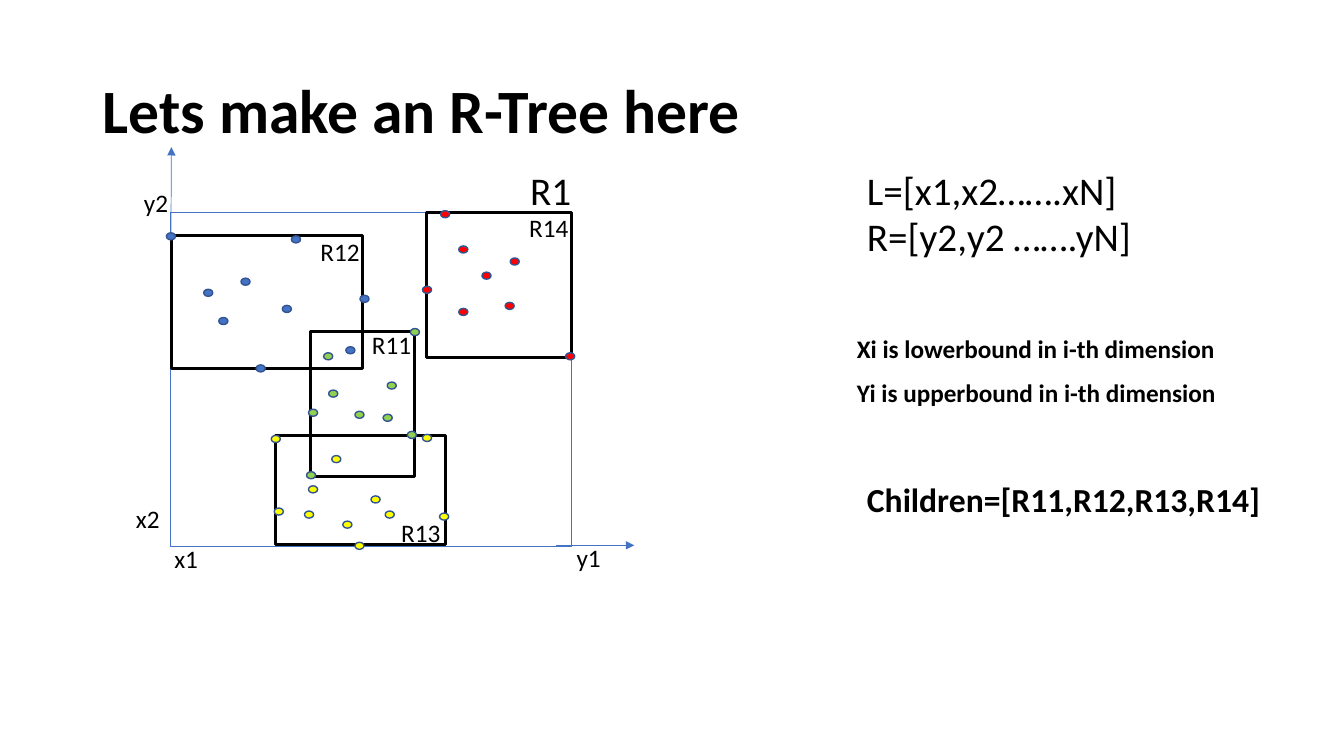
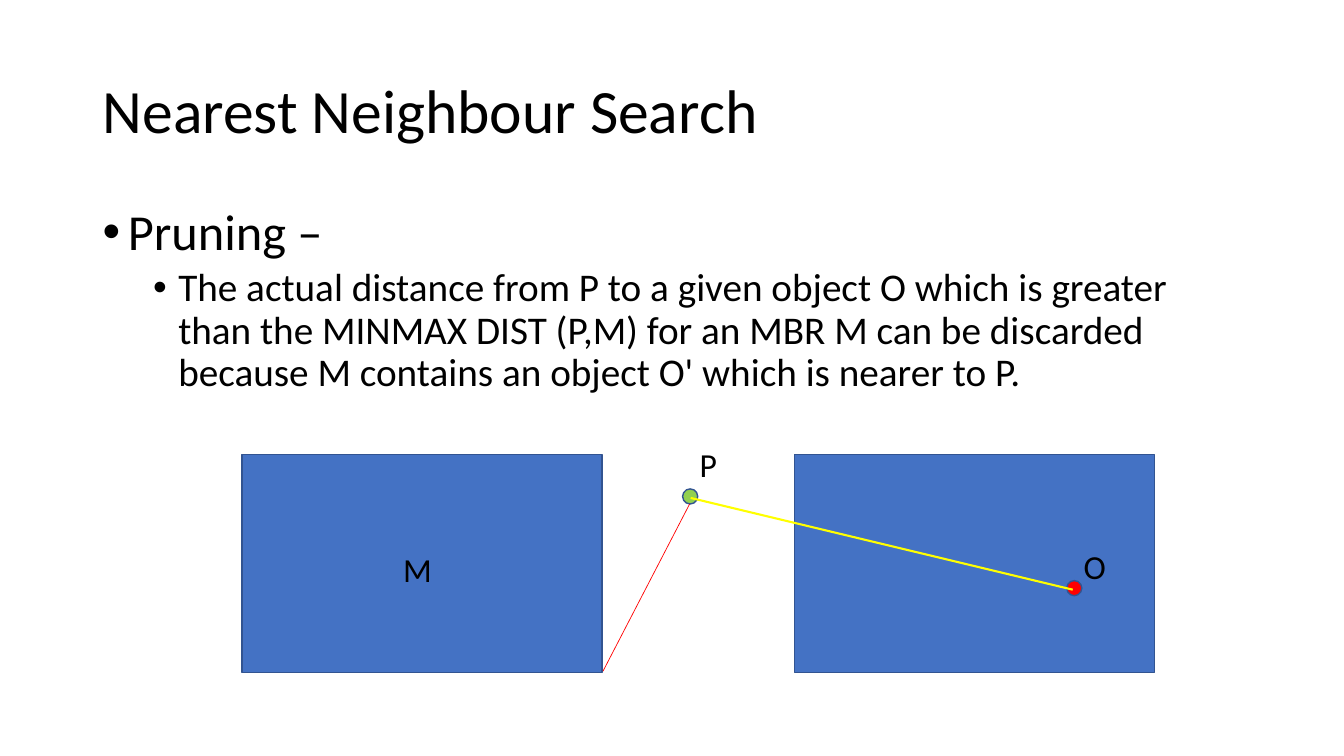
from dataclasses import dataclass

from lxml import etree
from pptx import Presentation
from pptx.dml.color import RGBColor
from pptx.enum.shapes import MSO_CONNECTOR, MSO_SHAPE
from pptx.enum.text import MSO_ANCHOR
from pptx.oxml.ns import qn
from pptx.slide import Slide
from pptx.text.text import TextFrame
from pptx.util import Emu, Pt

RECTANGLE = MSO_SHAPE.RECTANGLE
ELLIPSE = MSO_SHAPE.OVAL
STRAIGHT = MSO_CONNECTOR.STRAIGHT
MIDDLE = MSO_ANCHOR.MIDDLE
TOP = MSO_ANCHOR.TOP

PX = 9144
FONT = "Calibri"
BLACK, WHITE = "000000", "FFFFFF"
BLUE, DARK_BLUE = "4472C4", "325491"
RED, GREEN, YELLOW = "FF0000", "92D050", "FFFF00"


@dataclass(frozen=True)
class Box:
    left: int
    top: int
    width: int
    height: int


@dataclass(frozen=True)
class Label:
    text: str
    box: Box
    size: int = 18
    bold: bool = False


@dataclass(frozen=True)
class Line:
    start: tuple[int, int]
    end: tuple[int, int]
    color: str = BLUE
    weight: float = 0.5
    arrow: bool = False


@dataclass(frozen=True)
class Bullet:
    text: str
    size: int
    indent: int
    space_before: int


TITLE_BOX = Box(92, 40, 1150, 145)
BODY_BOX = Box(92, 200, 1150, 476)
HANGING = 25

ROOT_REGION = Box(169, 211, 398, 331)
LEAF_REGIONS = (
    Box(170, 234, 190, 132),
    Box(423, 211, 144, 144),
    Box(273, 432, 169, 108),
    Box(308, 329, 103, 144),
)
AXES = (
    Line((551, 541), (629, 541), arrow=True),
    Line((169, 340), (170, 146), arrow=True),
)
TREE_LABELS = (
    Label("R1", Box(516, 160, 69, 57), 28),
    Label("x1", Box(163, 534, 51, 40)),
    Label("y1", Box(562, 533, 50, 40)),
    Label("y2", Box(133, 181, 50, 40)),
    Label("x2", Box(125, 494, 51, 40)),
    Label("R12", Box(308, 230, 63, 40)),
    Label("R11", Box(359, 322, 68, 40)),
    Label("R13", Box(388, 508, 68, 40)),
    Label("R14", Box(515, 206, 68, 40)),
    Label("L=[x1,x2…….xN]", Box(850, 160, 340, 57), 28),
    Label("R=[y2,y2 …….yN]", Box(850, 206, 398, 57), 28),
    Label("Xi is lowerbound in i-th dimension", Box(840, 326, 380, 40), bold=True),
    Label("Yi is upperbound in i-th dimension", Box(840, 369, 380, 40), bold=True),
    Label("Children=[R11,R12,R13,R14]", Box(850, 470, 429, 50), 24, True),
)
POINT_WIDTH, POINT_HEIGHT = 9, 7
POINTS = {
    BLUE: ((165, 231), (357, 293), (343, 344), (254, 362), (280, 303),
           (217, 315), (289, 234), (239, 276), (202, 287)),
    RED: ((437, 209), (419, 284), (561, 350), (455, 244), (478, 270),
          (506, 256), (501, 300), (455, 306)),
    GREEN: ((404, 428), (304, 468), (380, 411), (407, 326), (384, 379),
            (352, 408), (321, 350), (326, 387), (306, 406)),
    YELLOW: ((329, 452), (302, 507), (352, 538), (436, 509), (269, 432),
             (419, 431), (272, 504), (306, 482), (340, 517), (382, 507),
             (368, 492)),
}

PRUNING_BULLETS = (
    Bullet("Pruning –", 36, 25, 10),
    Bullet(
        "The actual distance from P to a given object O which is greater than "
        "the MINMAX DIST (P,M) for an MBR M can be discarded because M "
        "contains an object O' which is nearer to P.",
        28, 75, 5,
    ),
)
RECTANGLE_LEFTS = (240, 788)
POINT_P = Box(677, 485, 15, 15)
POINT_O = Box(1058, 576, 15, 15)
MINMAX_LINE = Line((684, 500), (598, 666), RED)
OBJECT_LINE = Line((1064, 585), (685, 494), YELLOW, 1.5)
SEARCH_LABELS = (
    Label("M", Box(390, 540, 48, 50), 24),
    Label("P", Box(684, 435, 48, 50), 24),
    Label("O", Box(1065, 537, 48, 50), 24),
)


def px(length: int) -> Emu:
    return Emu(length * PX)


def rgb(color: str) -> RGBColor:
    return RGBColor.from_string(color)


def add_text_frame(slide: Slide, box: Box, anchor: MSO_ANCHOR = TOP) -> TextFrame:
    shape = slide.shapes.add_textbox(
        px(box.left), px(box.top), px(box.width), px(box.height)
    )
    frame = shape.text_frame
    frame.word_wrap = True
    frame.vertical_anchor = anchor
    return frame


def set_font(paragraph, size: int, bold: bool = False) -> None:
    font = paragraph.font
    font.name = FONT
    font.size = Pt(size)
    font.bold = bold
    font.color.rgb = rgb(BLACK)


def add_title(slide: Slide, text: str, bold: bool = False) -> None:
    paragraph = add_text_frame(slide, TITLE_BOX, MIDDLE).paragraphs[0]
    paragraph.text = text
    paragraph.line_spacing = 0.9
    set_font(paragraph, 44, bold)


def add_label(slide: Slide, label: Label) -> None:
    paragraph = add_text_frame(slide, label.box).paragraphs[0]
    paragraph.text = label.text
    set_font(paragraph, label.size, label.bold)


def add_bullets(slide: Slide, bullets: tuple[Bullet, ...]) -> None:
    frame = add_text_frame(slide, BODY_BOX)
    for index, bullet in enumerate(bullets):
        paragraph = frame.add_paragraph() if index else frame.paragraphs[0]
        paragraph.text = bullet.text
        paragraph.level = index
        paragraph.line_spacing = 0.9
        paragraph.space_before = Pt(bullet.space_before)
        properties = paragraph._p.get_or_add_pPr()
        properties.set("marL", str(px(bullet.indent)))
        properties.set("indent", str(px(-HANGING)))
        etree.SubElement(properties, qn("a:buFont"), typeface="Arial")
        etree.SubElement(properties, qn("a:buChar"), char="•")
        set_font(paragraph, bullet.size)


def add_figure(
    slide: Slide,
    kind: MSO_SHAPE,
    box: Box,
    fill: str | None,
    outline: str = DARK_BLUE,
    weight: float = 1,
) -> None:
    shape = slide.shapes.add_shape(
        kind, px(box.left), px(box.top), px(box.width), px(box.height)
    )
    shape.shadow.inherit = False
    if fill is None:
        shape.fill.background()
    else:
        shape.fill.solid()
        shape.fill.fore_color.rgb = rgb(fill)
    shape.line.color.rgb = rgb(outline)
    shape.line.width = Pt(weight)


def add_line(slide: Slide, line: Line) -> None:
    connector = slide.shapes.add_connector(
        STRAIGHT, *(px(value) for value in line.start + line.end)
    )
    connector.line.color.rgb = rgb(line.color)
    connector.line.width = Pt(line.weight)
    if line.arrow:
        outline = connector.line._get_or_add_ln()
        etree.SubElement(outline, qn("a:tailEnd"), type="triangle")
    etree.SubElement(connector._element.spPr, qn("a:effectLst"))


def build_tree_slide(slide: Slide) -> None:
    add_title(slide, "Lets make an R-Tree here", bold=True)
    add_figure(slide, RECTANGLE, ROOT_REGION, WHITE, BLUE)
    for axis in AXES:
        add_line(slide, axis)
    for region in LEAF_REGIONS:
        add_figure(slide, RECTANGLE, region, None, BLACK, 2.25)
    for label in TREE_LABELS:
        add_label(slide, label)
    for color, positions in POINTS.items():
        for left, top in positions:
            point = Box(left, top, POINT_WIDTH, POINT_HEIGHT)
            add_figure(slide, ELLIPSE, point, color)


def build_search_slide(slide: Slide) -> None:
    add_title(slide, "Nearest Neighbour Search")
    add_bullets(slide, PRUNING_BULLETS)
    for left in RECTANGLE_LEFTS:
        add_figure(slide, RECTANGLE, Box(left, 451, 357, 216), BLUE)
    add_figure(slide, ELLIPSE, POINT_P, GREEN)
    add_line(slide, MINMAX_LINE)
    add_figure(slide, ELLIPSE, POINT_O, RED)
    add_line(slide, OBJECT_LINE)
    for label in SEARCH_LABELS:
        add_label(slide, label)


def main() -> None:
    presentation = Presentation()
    presentation.slide_width = px(1333)
    presentation.slide_height = px(750)
    blank = presentation.slide_layouts[6]
    for build in (build_tree_slide, build_search_slide):
        build(presentation.slides.add_slide(blank))
    presentation.save("out.pptx")


if __name__ == "__main__":
    main()
